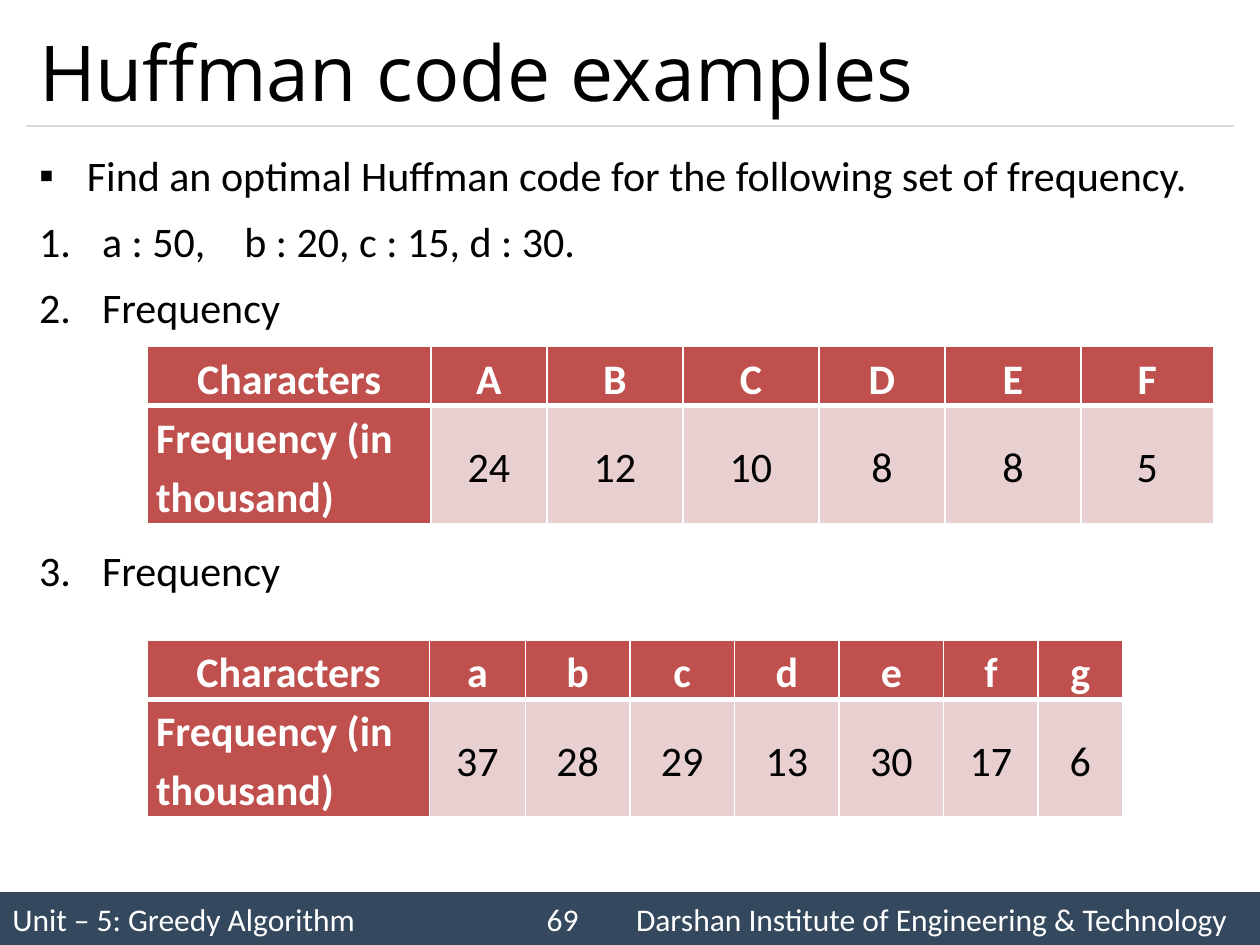
from pptx import Presentation
from pptx.util import Inches, Pt
from pptx.dml.color import RGBColor
from pptx.enum.shapes import MSO_SHAPE, MSO_CONNECTOR
from pptx.enum.text import PP_ALIGN, MSO_ANCHOR, MSO_AUTO_SIZE
from pptx.oxml import parse_xml
from pptx.oxml.ns import nsdecls


def style(p, size, color, name="Calibri", bold=False):
    for r in p.runs:
        r.font.size, r.font.name, r.font.bold = Pt(size), name, bold
        r.font.color.rgb = RGBColor.from_string(color)


def add_xml(parent, tag, attrs="", inner=""):
    parent.append(parse_xml(f'<a:{tag} {nsdecls("a")} {attrs}>{inner}</a:{tag}>'))


prs = Presentation()
prs.slide_width, prs.slide_height = Inches(10), Inches(7.5)
s = prs.slides.add_slide(prs.slide_layouts[1])

# Footer bar, its three parts set apart by tabs
bar = s.shapes.add_shape(MSO_SHAPE.RECTANGLE, 0, Inches(7.08), Inches(10), Inches(0.42))
bar.shadow.inherit = False
bar.fill.solid()
bar.fill.fore_color.rgb = RGBColor.from_string("34495E")
bar.line.fill.background()
tf = bar.text_frame
tf.vertical_anchor = MSO_ANCHOR.MIDDLE
tf.word_wrap = True
p = tf.paragraphs[0]
p.text = "Unit – 5: Greedy Algorithm\t69\tDarshan Institute of Engineering & Technology"
p.alignment = PP_ALIGN.LEFT
tabs = "".join(f'<a:tab pos="{Inches(x)}" algn="l"/>' for x in (4.24, 4.95))
add_xml(p._p.get_or_add_pPr(), "tabLst", inner=tabs)
style(p, 18, "FFFFFF")

# Rule below the title
rule = s.shapes.add_connector(MSO_CONNECTOR.STRAIGHT, Inches(0.21), Inches(1), Inches(9.79), Inches(1))
rule.line.color.rgb = RGBColor.from_string("D9D9D9")
rule.line.width = Pt(0.75)
add_xml(rule._element.spPr, "effectLst")

# Title
title = s.shapes.title
title.left, title.top, title.width, title.height = Inches(0.21), Inches(0.12), Inches(9.58), Inches(0.88)
tf = title.text_frame
tf.text = "Huffman code examples"
tf.auto_size = MSO_AUTO_SIZE.NONE
tf.vertical_anchor = MSO_ANCHOR.MIDDLE
tf.paragraphs[0].alignment = PP_ALIGN.LEFT
style(tf.paragraphs[0], 44, "000000", "Open Sans")

# Body list: text, space before; the last item clears the first table
body = s.placeholders[1]
body.left, body.top, body.width, body.height = Inches(0.21), Inches(1.08), Inches(9.58), Inches(5.83)
tf = body.text_frame
tf.auto_size = MSO_AUTO_SIZE.NONE
items = [
    ("Find an optimal Huffman code for the following set of frequency.", 0),
    ("a : 50,\tb : 20, c : 15, d : 30.", 4.8),
    ("Frequency", 4.8),
    ("Frequency", 117.5),
]
for i, (text, before) in enumerate(items):
    p = tf.add_paragraph() if i else tf.paragraphs[0]
    p.text = text
    p.alignment = PP_ALIGN.JUSTIFY
    p.line_spacing = 1.14
    p.space_before = Pt(before)
    pPr = p._p.get_or_add_pPr()
    indent = Inches(0.5 if i else 0.38)
    pPr.set("marL", str(indent))
    pPr.set("indent", str(-indent))
    if i:
        add_xml(pPr, "buFont", 'typeface="+mj-lt"')
        add_xml(pPr, "buAutoNum", 'type="arabicPeriod"')
    else:
        add_xml(pPr, "buChar", 'char="▪"')
    if "\t" in text:
        add_xml(pPr, "tabLst", inner=f'<a:tab pos="{Inches(1.63)}" algn="l"/>')
    style(p, 24, "000000")

# Frequency tables: top, column widths, characters, frequencies
tables = [
    (2.75, [2.25, 0.92, 1.08, 1.08, 1, 1.08, 1.05], "ABCDEF", [24, 12, 10, 8, 8, 5]),
    (5.08, [2.24, 0.76, 0.83, 0.83, 0.83, 0.83, 0.75, 0.67], "abcdefg", [37, 28, 29, 13, 30, 17, 6]),
]
heights = [0.47, 0.93]
for top, widths, chars, freqs in tables:
    rows = [["Characters", *chars], ["Frequency (in thousand)", *freqs]]
    table = s.shapes.add_table(2, len(widths), Inches(1.17), Inches(top),
                               Inches(sum(widths)), Inches(sum(heights))).table
    for col, width in zip(table.columns, widths):
        col.width = Inches(width)
    for i, values in enumerate(rows):
        table.rows[i].height = Inches(heights[i])
        for j, value in enumerate(values):
            cell = table.cell(i, j)
            header = i == 0 or j == 0
            cell.margin_left = cell.margin_right = Inches(0.07)
            cell.margin_top = cell.margin_bottom = 0
            cell.vertical_anchor = MSO_ANCHOR.MIDDLE if j else MSO_ANCHOR.TOP
            for side in "LRTB":
                # The border between the two rows is thicker
                thick = (i, side) in ((0, "B"), (1, "T"))
                add_xml(cell._tc.get_or_add_tcPr(), f"ln{side}", f'w="{Pt(3 if thick else 1)}"',
                        '<a:solidFill><a:srgbClr val="FFFFFF"/></a:solidFill>')
            cell.fill.solid()
            cell.fill.fore_color.rgb = RGBColor.from_string("C0504D" if header else "E8D0D0")
            p = cell.text_frame.paragraphs[0]
            p.text = str(value)
            p.alignment = PP_ALIGN.LEFT if i and not j else PP_ALIGN.CENTER
            p.line_spacing = 1.15
            style(p, 24, "FFFFFF" if header else "000000", bold=header)

prs.save("out.pptx")
